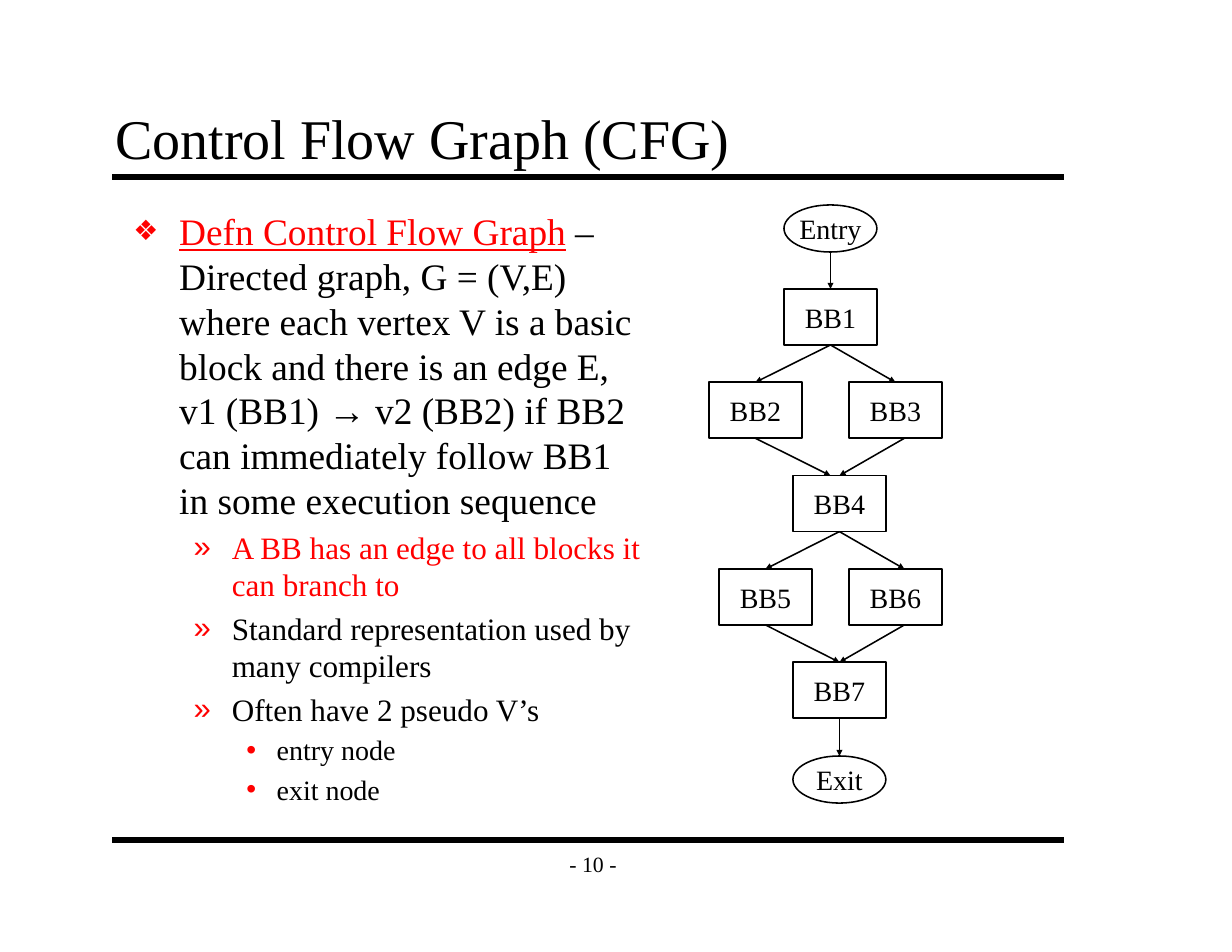
from lxml import etree
from pptx import Presentation
from pptx.dml.color import RGBColor
from pptx.enum.shapes import MSO_CONNECTOR, MSO_SHAPE
from pptx.enum.text import MSO_ANCHOR, MSO_AUTO_SIZE, PP_ALIGN
from pptx.oxml.ns import qn
from pptx.util import Inches, Pt

STRAIGHT = MSO_CONNECTOR.STRAIGHT
RECTANGLE, OVAL = MSO_SHAPE.RECTANGLE, MSO_SHAPE.OVAL
LEFT, CENTER = PP_ALIGN.LEFT, PP_ALIGN.CENTER
MIDDLE, BOTTOM = MSO_ANCHOR.MIDDLE, MSO_ANCHOR.BOTTOM
NO_AUTOFIT = MSO_AUTO_SIZE.NONE
COLORS = {"ink": "000000", "accent": "FF0000"}
FONT = "Times New Roman"


def style_font(font, size, color="ink"):
    font.name = FONT
    font.size = Pt(size)
    font.color.rgb = RGBColor.from_string(COLORS[color])


def add_line(x1, y1, x2, y2, width):
    line = slide.shapes.add_connector(
        STRAIGHT, Inches(x1), Inches(y1), Inches(x2), Inches(y2))
    line.line.width = Pt(width)
    line.line.color.rgb = RGBColor.from_string(COLORS["ink"])
    etree.SubElement(line._element.spPr, qn("a:effectLst"))
    return line


presentation = Presentation()
presentation.slide_width = Inches(11)
presentation.slide_height = Inches(8.5)
slide = presentation.slides.add_slide(presentation.slide_layouts[1])

# Rules and page number
for y in (1.58, 7.5):
    add_line(1, y, 9.5, y, 4)
page_number = slide.shapes.add_textbox(Inches(4.92), Inches(7.5), Inches(0.75), Inches(0.42))
page_number.text_frame.vertical_anchor = MIDDLE
paragraph = page_number.text_frame.paragraphs[0]
paragraph.text = "- 10 -"
paragraph.alignment = CENTER
style_font(paragraph.font, 14)

# Title and body placeholders
title, body = slide.shapes.title, slide.placeholders[1]
for placeholder, (left, top, width, height) in (
        (title, (0.92, 0.91, 8.5, 0.67)), (body, (1.08, 1.8, 4.75, 5.7))):
    placeholder.left, placeholder.top = Inches(left), Inches(top)
    placeholder.width, placeholder.height = Inches(width), Inches(height)
    frame = placeholder.text_frame
    frame.auto_size = NO_AUTOFIT
    frame.margin_left = frame.margin_right = Inches(0.11)
    frame.margin_top = frame.margin_bottom = Inches(0.06)
title.text_frame.vertical_anchor = BOTTOM
paragraph = title.text_frame.paragraphs[0]
paragraph.text = "Control Flow Graph (CFG)"
paragraph.alignment = LEFT
style_font(paragraph.font, 36)

# Per level: left margin, hanging indent, bullet, bullet size in percent, text size
LEVELS = [
    (0.41, 0.41, "❖", 75, 24),
    (0.88, 0.34, "»", 100, 20),
    (1.28, 0.27, "•", 100, 18),
]
DEFINITION = (
    " – Directed graph, G = (V,E) where each vertex V is a basic block and there is "
    "an edge E, v1 (BB1) → v2 (BB2) if BB2 can immediately follow BB1 in some "
    "execution sequence")
ITEMS = [
    (0, [("Defn Control Flow Graph", "accent"), (DEFINITION, "ink")]),
    (1, [("A BB has an edge to all blocks it can branch to", "accent")]),
    (1, [("Standard representation used by many compilers", "ink")]),
    (1, [("Often have 2 pseudo V’s", "ink")]),
    (2, [("entry node", "ink")]),
    (2, [("exit node", "ink")]),
]
for index, (level, runs) in enumerate(ITEMS):
    frame = body.text_frame
    paragraph = frame.add_paragraph() if index else frame.paragraphs[0]
    paragraph.level = level
    margin, hanging, bullet, bullet_size, size = LEVELS[level]
    properties = paragraph._p.get_or_add_pPr()
    properties.set("marL", str(Inches(margin)))
    properties.set("indent", str(-Inches(hanging)))
    bullet_color = etree.SubElement(properties, qn("a:buClr"))
    etree.SubElement(bullet_color, qn("a:srgbClr"), val=COLORS["accent"])
    etree.SubElement(properties, qn("a:buSzPct"), val=str(bullet_size * 1000))
    etree.SubElement(properties, qn("a:buChar"), char=bullet)
    style_font(paragraph.font, size, runs[-1][1])
    for text, color in runs:
        run = paragraph.add_run()
        run.text = text
        if color != runs[-1][1]:
            run.font.color.rgb = RGBColor.from_string(COLORS[color])
            run.font.underline = True

# Graph nodes: name, left, top
NODE_WIDTH, BLOCK_HEIGHT, OVAL_HEIGHT = 0.83, 0.5, 0.42
ROW_TOPS = [2.58 + row * 2.5 / 3 for row in range(5)]
NODES = [
    ("Entry", 7, 1.83),
    ("BB1", 7, ROW_TOPS[0]),
    ("BB2", 6.33, ROW_TOPS[1]), ("BB3", 7.58, ROW_TOPS[1]),
    ("BB4", 7.08, ROW_TOPS[2]),
    ("BB5", 6.42, ROW_TOPS[3]), ("BB6", 7.58, ROW_TOPS[3]),
    ("BB7", 7.08, ROW_TOPS[4]),
    ("Exit", 7.08, 6.75),
]
nodes = {}
for name, left, top in NODES:
    is_block = name.startswith("BB")
    height = BLOCK_HEIGHT if is_block else OVAL_HEIGHT
    shape = slide.shapes.add_shape(
        RECTANGLE if is_block else OVAL,
        Inches(left), Inches(top), Inches(NODE_WIDTH), Inches(height))
    shape.shadow.inherit = False
    shape.fill.background()
    shape.line.color.rgb = RGBColor.from_string(COLORS["ink"])
    shape.line.width = Pt(1)
    shape.text_frame.word_wrap = False
    shape.text_frame.vertical_anchor = MIDDLE
    paragraph = shape.text_frame.paragraphs[0]
    paragraph.text = name
    paragraph.alignment = CENTER
    style_font(paragraph.font, 18)
    nodes[name] = (shape, left + NODE_WIDTH / 2, top, top + height)

# Graph edges: source, target, and how far each end sits from the middle of its side
EDGES = [
    ("Entry", "BB1", 0, 0),
    ("BB1", "BB2", 0, 0), ("BB1", "BB3", 0, 0),
    ("BB2", "BB4", 0, -0.08), ("BB3", "BB4", 0.08, 0),
    ("BB4", "BB5", 0, 0), ("BB4", "BB6", 0, 0.08),
    ("BB5", "BB7", 0, 0), ("BB6", "BB7", 0.08, 0),
    ("BB7", "Exit", 0, 0),
]
for source, target, source_shift, target_shift in EDGES:
    source_shape, source_x, _, source_bottom = nodes[source]
    target_shape, target_x, target_top, _ = nodes[target]
    edge = add_line(source_x + source_shift, source_bottom,
                    target_x + target_shift, target_top, 1)
    if source != "Entry" and not source_shift:
        edge.begin_connect(source_shape, 2)
    if not target_shift:
        edge.end_connect(target_shape, 0)
    etree.SubElement(edge._element.spPr.find(qn("a:ln")), qn("a:tailEnd"),
                     type="triangle", w="sm", len="sm")

presentation.save("out.pptx")
